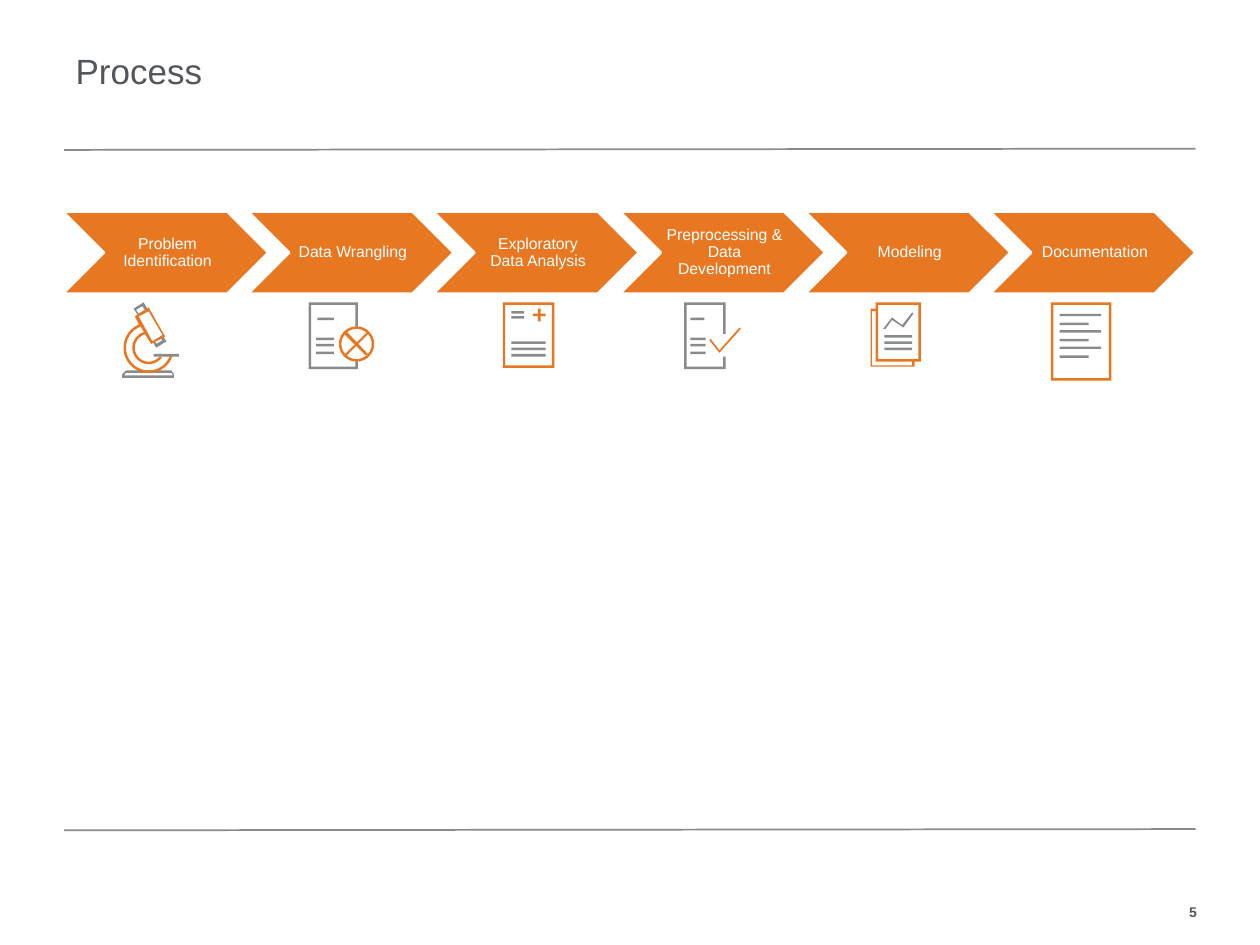
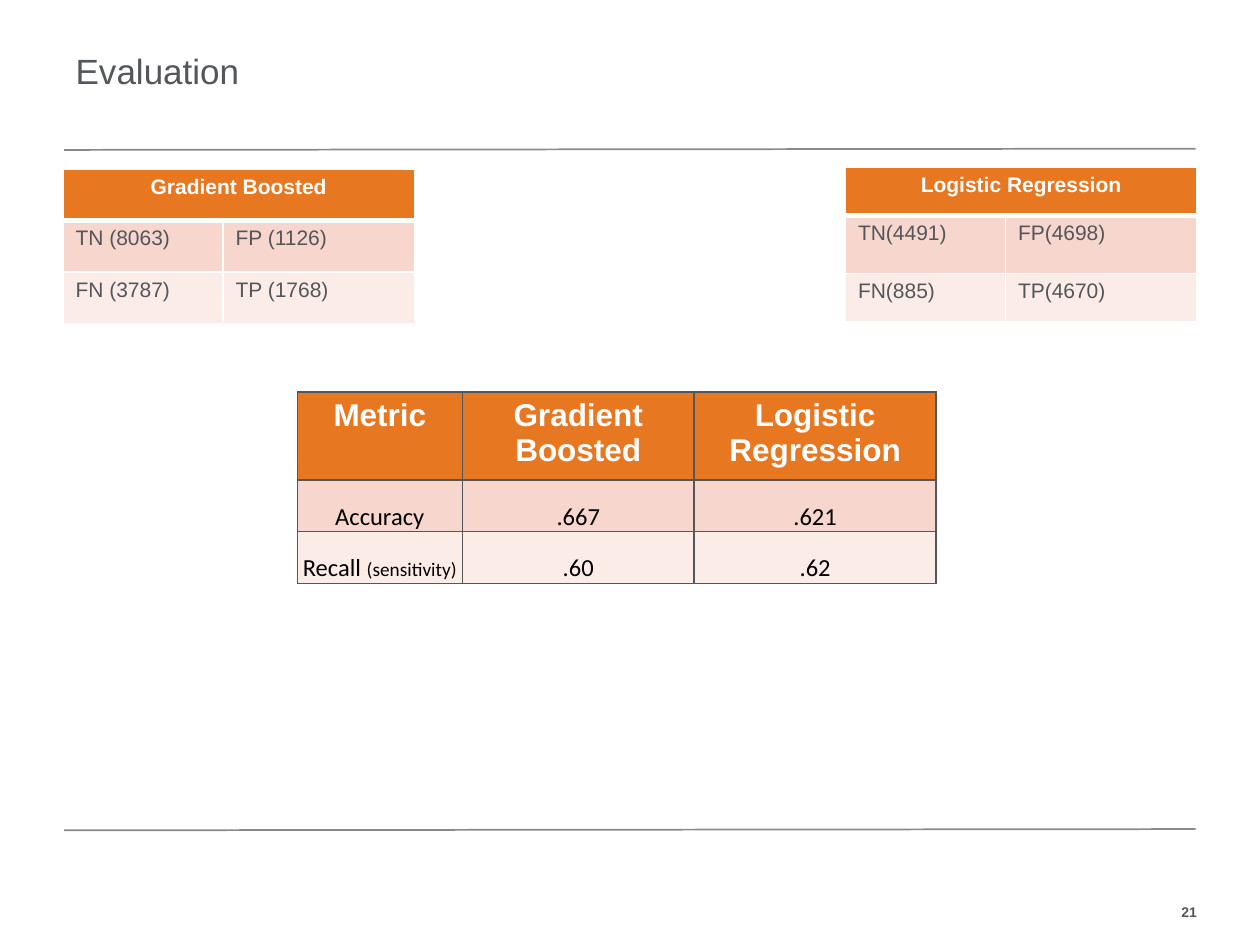
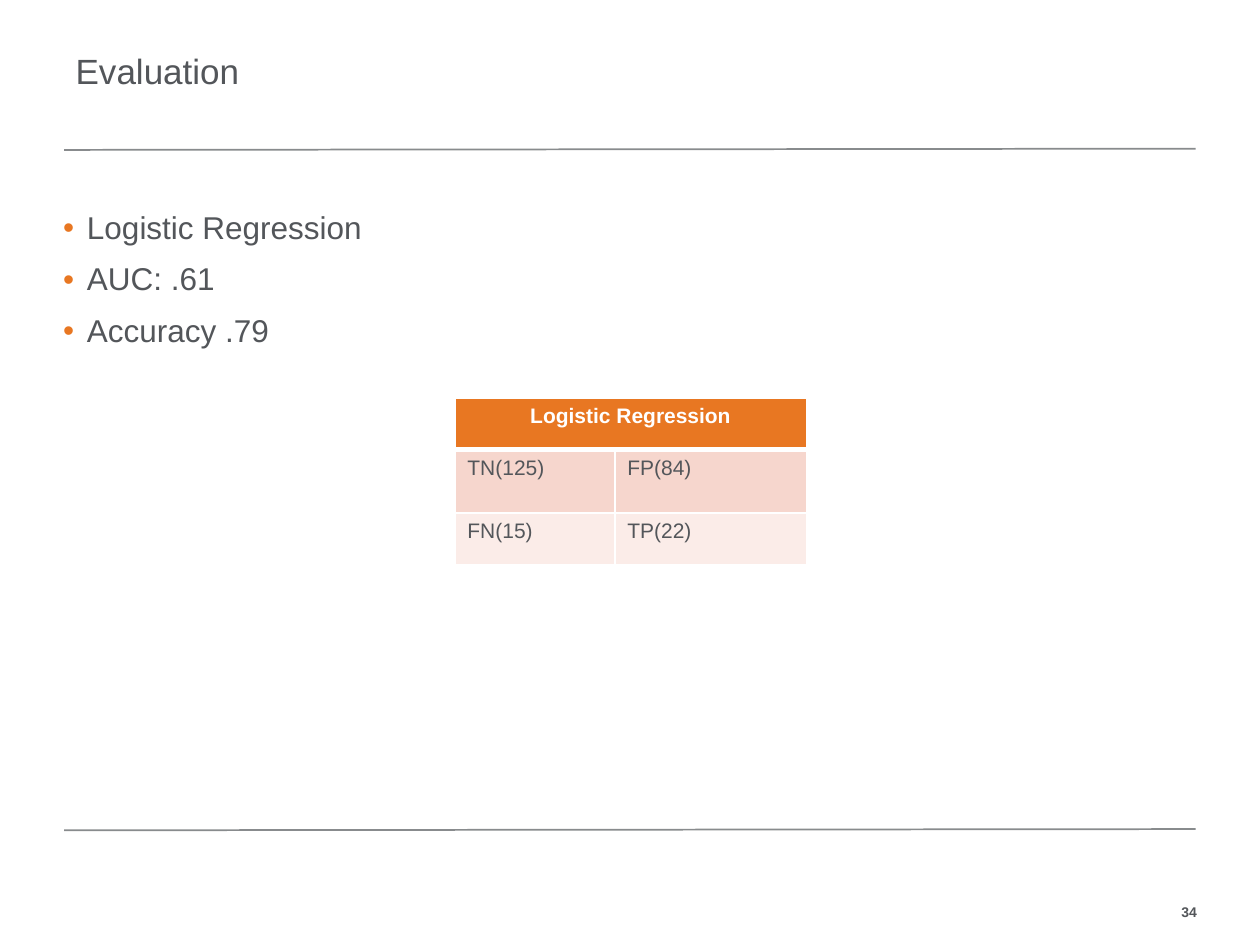
from dataclasses import dataclass
from math import cos, radians, sin
from typing import Any

from lxml import etree
from pptx import Presentation
from pptx.dml.color import RGBColor
from pptx.enum.shapes import MSO_CONNECTOR, MSO_SHAPE
from pptx.enum.text import MSO_ANCHOR, MSO_AUTO_SIZE, PP_ALIGN
from pptx.oxml.ns import qn
from pptx.util import Emu, Pt

EMU_PER_PX = 9144  # 100 px to the inch

ORANGE = RGBColor(0xE8, 0x77, 0x22)
GRAY = RGBColor(0x88, 0x8B, 0x8D)
TEXT = RGBColor(0x53, 0x56, 0x5A)
PINK = RGBColor(0xF6, 0xD6, 0xCD)
PALE_PINK = RGBColor(0xFB, 0xEC, 0xE8)
WHITE = RGBColor(0xFF, 0xFF, 0xFF)
BLACK = RGBColor(0x00, 0x00, 0x00)

CHEVRON, RECTANGLE = MSO_SHAPE.CHEVRON, MSO_SHAPE.RECTANGLE
STRAIGHT = MSO_CONNECTOR.STRAIGHT
LEFT, CENTER, RIGHT = PP_ALIGN.LEFT, PP_ALIGN.CENTER, PP_ALIGN.RIGHT
TOP, MIDDLE, BOTTOM = MSO_ANCHOR.TOP, MSO_ANCHOR.MIDDLE, MSO_ANCHOR.BOTTOM
FIXED_SIZE = MSO_AUTO_SIZE.NONE
TITLE_ONLY, TITLE_AND_CONTENT = 5, 1

Contour = list[tuple[float, float]]


def px(value: float) -> Emu:
    return Emu(round(value * EMU_PER_PX))


# Formats
def margins(left: int, top: int, right: int, bottom: int) -> dict[str, Emu]:
    return {"margin_left": px(left), "margin_top": px(top),
            "margin_right": px(right), "margin_bottom": px(bottom)}


NO_MARGINS = margins(0, 0, 0, 0)
TITLE_FONT = {"name": "Arial", "size": Pt(20), "bold": False}
BODY_FONT = {"name": "Arial", "size": Pt(18), "bold": False}
NUMBER_FONT = {"name": "Arial", "size": Pt(8), "bold": True}
STEP_FONT = {"name": "Arial", "size": Pt(9), "bold": False}
COUNT_FONT = {"name": "Arial", "size": Pt(12), "bold": False}
COUNT_HEADER_FONT = COUNT_FONT | {"bold": True}
METRIC_HEADER_FONT = {"name": "Arial", "size": Pt(18), "bold": True}
METRIC_FONT = {"name": "Calibri", "size": Pt(14), "bold": False}
NOTE_FONT = METRIC_FONT | {"size": Pt(11)}

TITLE_FRAME = {"vertical_anchor": BOTTOM, "auto_size": FIXED_SIZE, "word_wrap": True}
BODY_FRAME = {"vertical_anchor": TOP, "auto_size": FIXED_SIZE} | NO_MARGINS
NUMBER_FRAME = {"vertical_anchor": MIDDLE, "word_wrap": False} | NO_MARGINS
STEP_FRAME = {"vertical_anchor": MIDDLE, "word_wrap": True} | margins(4, 1, 1, 1)

TITLE_PARAGRAPH = {"alignment": LEFT, "line_spacing": 0.9}
BODY_PARAGRAPH = {"line_spacing": 0.95, "space_before": Pt(6), "space_after": Pt(3)}
STEP_PARAGRAPH = {"alignment": CENTER, "line_spacing": 0.9}


def apply(target: Any, values: dict[str, Any]) -> None:
    for name, value in values.items():
        setattr(target, name, value)


def write(paragraph: Any, text: str, font: dict[str, Any], color: RGBColor) -> None:
    run = paragraph.add_run()
    run.text = text
    apply(run.font, font)
    run.font.color.rgb = color


def place(shape: Any, left: int, top: int, width: int, height: int) -> None:
    apply(shape, {"left": px(left), "top": px(top), "width": px(width), "height": px(height)})


def paint(shape: Any, color: RGBColor) -> None:
    shape.shadow.inherit = False
    shape.fill.solid()
    shape.fill.fore_color.rgb = color
    shape.line.fill.background()


# Shared slide frame
def add_rule(slide: Any, top: int) -> None:
    line = slide.shapes.add_connector(STRAIGHT, px(51), px(top + 1), px(949), px(top))
    line.line.color.rgb = GRAY
    line.line.width = Pt(1)
    etree.SubElement(line._element.spPr, qn("a:effectLst"))


def add_slide(presentation: Any, layout: int, title: str, number: int) -> Any:
    slide = presentation.slides.add_slide(presentation.slide_layouts[layout])
    number_box = slide.shapes.add_textbox(px(900), px(712), px(50), px(23))
    apply(number_box.text_frame, NUMBER_FRAME)
    paragraph = number_box.text_frame.paragraphs[0]
    paragraph.alignment = RIGHT
    write(paragraph, str(number), NUMBER_FONT, TEXT)
    for top in (658, 118):
        add_rule(slide, top)

    heading = slide.shapes.title
    place(heading, 50, 30, 900, 48)
    apply(heading.text_frame, TITLE_FRAME)
    paragraph = heading.text_frame.paragraphs[0]
    apply(paragraph, TITLE_PARAGRAPH)
    write(paragraph, title, TITLE_FONT, TEXT)
    return slide


def add_bullets(slide: Any, lines: list[str]) -> None:
    body = slide.placeholders[1]
    place(body, 50, 167, 900, 113)
    frame = body.text_frame
    apply(frame, BODY_FRAME)
    for index, line in enumerate(lines):
        paragraph = frame.add_paragraph() if index else frame.paragraphs[0]
        apply(paragraph, BODY_PARAGRAPH)
        properties = paragraph._p.get_or_add_pPr()
        properties.set("marL", str(px(19)))
        properties.set("indent", str(px(-19)))
        bullet_color = etree.SubElement(properties, qn("a:buClr"))
        etree.SubElement(bullet_color, qn("a:srgbClr"), val=str(ORANGE))
        etree.SubElement(properties, qn("a:buChar"), char="•")
        write(paragraph, line, BODY_FONT, TEXT)


# Icon outlines; nested contours cut holes
def box(left: int, top: int, right: int, bottom: int) -> Contour:
    return [(left, top), (right, top), (right, bottom), (left, bottom)]


def ring(left: int, top: int, right: int, bottom: int) -> list[Contour]:
    return [box(left, top, right, bottom), box(left + 2, top + 2, right - 2, bottom - 2)]


def open_page(left: int, right: int, gap_top: int, gap_bottom: int) -> Contour:
    return [(right, 293), (left, 293), (left, 240), (right, 240), (right, gap_top),
            (right - 2, gap_top), (right - 2, 242), (left + 2, 242), (left + 2, 291),
            (right - 2, 291), (right - 2, gap_bottom), (right, gap_bottom)]


def arc(x: int, y: int, radius: int, start: int, end: int) -> Contour:
    steps = 36
    angles = [radians(start + (end - start) * step / steps) for step in range(steps + 1)]
    return [(x + radius * cos(angle), y + radius * sin(angle)) for angle in angles]


@dataclass
class Outline:
    color: RGBColor
    contours: list[Contour]


@dataclass
class Bar:
    left: int
    top: int
    width: int


@dataclass
class Step:
    label: str
    outlines: list[Outline]
    bars: list[Bar]


MICROSCOPE = [
    Outline(GRAY, [
        [(138, 300), (97, 300), (97, 297), (100, 294), (136, 294), (138, 297)],
        [(99, 298), (137, 298), (137, 297), (136, 296), (100, 296), (99, 297)],
        [(124, 276), (121, 271), (129, 266), (132, 271)],
        [(123, 271), (124, 273), (129, 270), (128, 269)],
        [(110, 251), (106, 245), (114, 240), (118, 247)],
        [(108, 246), (110, 249), (115, 246), (113, 243)],
        box(122, 281, 142, 283),
    ]),
    Outline(ORANGE, [
        arc(118, 276, 11, 41, 255)
        + [(120, 273), (131, 267), (118, 244), (107, 251), (110, 257)]
        + arc(118, 276, 20, 247, 20),
        [(110, 251), (118, 247), (129, 266), (121, 271)],
        arc(118, 276, 18, 22, 249) + [(114, 263)] + arc(118, 276, 13, 253, 33),
    ]),
]
CROSSED_PAGE = [
    Outline(GRAY, [open_page(245, 284, 260, 285)]),
    Outline(ORANGE, [arc(283, 273, 14, 0, 360), arc(283, 273, 12, 139, 311),
                     arc(283, 273, 12, -41, 131)]),
    Outline(ORANGE, [[(290, 282), (273, 265), (275, 263), (292, 281)]]),
]
PLUS_PAGE = [
    Outline(GRAY, [box(406, top, 433, top + 2) for top in (271, 276, 281)]
            + [box(406, top, 416, top + 2) for top in (247, 251)]),
    Outline(ORANGE, ring(399, 240, 440, 292) + [
        [(433, 249), (429, 249), (429, 245), (427, 245), (427, 249), (423, 249),
         (423, 251), (427, 251), (427, 255), (429, 255), (429, 251), (433, 251)]]),
]
CHECKED_PAGE = [
    Outline(GRAY, [open_page(543, 576, 265, 283)]),
    Outline(ORANGE, [[(571, 280), (563, 270), (564, 269), (571, 278), (587, 260), (588, 261)]]),
]
CHART_PAGES = [
    Outline(ORANGE, ring(695, 240, 731, 287) + [
        [(695, 245), (691, 245), (691, 291), (726, 291), (726, 287), (724, 287),
         (724, 290), (692, 290), (692, 247), (695, 247)]]),
    Outline(GRAY, [box(702, top, 724, top + 2) for top in (266, 271, 276)] + [
        [(724, 248), (716, 258), (708, 252), (701, 261), (703, 261), (708, 254),
         (717, 260), (725, 249)]]),
]
TEXT_PAGE = [Outline(ORANGE, ring(834, 240, 882, 302))]

STEPS = [
    Step("Problem Identification", MICROSCOPE, []),
    Step("Data Wrangling", CROSSED_PAGE,
         [Bar(252, 252, 13)] + [Bar(251, top, 14) for top in (268, 273, 279)]),
    Step("Exploratory Data Analysis", PLUS_PAGE, []),
    Step("Preprocessing & Data Development", CHECKED_PAGE,
         [Bar(548, 252, 11)] + [Bar(548, top, 12) for top in (268, 273, 279)]),
    Step("Modeling", CHART_PAGES, []),
    Step("Documentation", TEXT_PAGE,
         [Bar(841, 249 + round(6.6 * row), 23 if row % 2 else 33) for row in range(6)]),
]


def add_outline(shapes: Any, outline: Outline) -> None:
    first, *others = [[(px(x), px(y)) for x, y in contour] for contour in outline.contours]
    builder = shapes.build_freeform(*first[0], scale=1.0)
    builder.add_line_segments(first[1:], close=True)
    for contour in others:
        builder.move_to(*contour[0])
        builder.add_line_segments(contour[1:], close=True)
    paint(builder.convert_to_shape(), outline.color)


def add_step(slide: Any, step: Step, left: int) -> None:
    chevron = slide.shapes.add_shape(CHEVRON, px(left), px(168), px(163), px(65))
    paint(chevron, ORANGE)
    chevron.line.color.rgb = WHITE
    chevron.line.width = Pt(1.5)
    apply(chevron.text_frame, STEP_FRAME)
    paragraph = chevron.text_frame.paragraphs[0]
    apply(paragraph, STEP_PARAGRAPH)
    write(paragraph, step.label, STEP_FONT, WHITE)

    icon = slide.shapes.add_group_shape()
    for outline in step.outlines:
        add_outline(icon.shapes, outline)
    for bar in step.bars:
        paint(icon.shapes.add_shape(RECTANGLE, px(bar.left), px(bar.top), px(bar.width), px(2)),
              GRAY)


# Tables
def set_borders(cell: Any, color: RGBColor, widths: dict[str, int]) -> None:
    properties = cell._tc.get_or_add_tcPr()
    for side in ("L", "R", "T", "B"):
        line = etree.SubElement(properties, qn(f"a:ln{side}"), w=str(Pt(widths.get(side, 1))))
        fill = etree.SubElement(line, qn("a:solidFill"))
        etree.SubElement(fill, qn("a:srgbClr"), val=str(color))


def add_grid(slide: Any, left: int, top: int, columns: list[int], rows: list[int],
             border: RGBColor, header_rule: int) -> Any:
    frame = slide.shapes.add_table(len(rows), len(columns), px(left), px(top),
                                   px(sum(columns)), px(sum(rows)))
    table = frame.table
    apply(table, {"first_row": False, "horz_banding": False})
    for column, width in zip(table.columns, columns):
        column.width = px(width)
    header_sides = [{"B": header_rule}, {"T": header_rule}, {}]
    for row, height, fill, sides in zip(table.rows, rows, (ORANGE, PINK, PALE_PINK), header_sides):
        row.height = px(height)
        for cell in row.cells:
            set_borders(cell, border, sides)
            cell.fill.solid()
            cell.fill.fore_color.rgb = fill
    return table


@dataclass
class ConfusionMatrix:
    model: str
    left: int
    top: int
    rows: list[int]
    counts: list[list[str]]


def add_confusion_matrix(slide: Any, matrix: ConfusionMatrix) -> None:
    table = add_grid(slide, matrix.left, matrix.top, [127, 152], matrix.rows, WHITE, 3)
    header = table.cell(0, 0)
    header.merge(table.cell(0, 1))
    paragraph = header.text_frame.paragraphs[0]
    paragraph.alignment = CENTER
    write(paragraph, matrix.model, COUNT_HEADER_FONT, WHITE)
    for row, counts in enumerate(matrix.counts, start=1):
        for column, count in enumerate(counts):
            write(table.cell(row, column).text_frame.paragraphs[0], count, COUNT_FONT, TEXT)


METRICS = [
    ["Metric", "Gradient Boosted", "Logistic Regression"],
    ["Accuracy", ".667", ".621"],
    ["Recall ", ".60", ".62"],
]


def add_metrics(slide: Any) -> None:
    table = add_grid(slide, 236, 311, [131, 184, 192], [66, 41, 41], TEXT, 1)
    for row, texts in enumerate(METRICS):
        for column, text in enumerate(texts):
            cell = table.cell(row, column)
            paragraph = cell.text_frame.paragraphs[0]
            paragraph.alignment = CENTER
            if row:
                apply(cell, {"vertical_anchor": BOTTOM} | NO_MARGINS)
                write(paragraph, text, METRIC_FONT, BLACK)
            else:
                write(paragraph, text, METRIC_HEADER_FONT, WHITE)
    write(table.cell(2, 0).text_frame.paragraphs[0], "(sensitivity)", NOTE_FONT, BLACK)


MODEL_COMPARISON = [
    ConfusionMatrix("Gradient Boosted", 50, 134, [41, 41, 41],
                    [["TN (8063)", "FP (1126)"], ["FN (3787)", "TP (1768)"]]),
    ConfusionMatrix("Logistic Regression", 671, 133, [38, 46, 38],
                    [["TN(4491)", "FP(4698)"], ["FN(885)", "TP(4670)"]]),
]
FINAL_MODEL = ConfusionMatrix("Logistic Regression", 361, 316, [41, 50, 41],
                              [["TN(125)", "FP(84)"], ["FN(15)", "TP(22)"]])


def main() -> None:
    presentation = Presentation()
    apply(presentation, {"slide_width": px(1000), "slide_height": px(750)})

    # Process steps
    slide = add_slide(presentation, TITLE_ONLY, "Process", 5)
    for index, step in enumerate(STEPS):
        add_step(slide, step, 50 + round(147.2 * index))

    # Comparison of two models
    slide = add_slide(presentation, TITLE_ONLY, "Evaluation", 21)
    add_metrics(slide)
    for matrix in MODEL_COMPARISON:
        add_confusion_matrix(slide, matrix)

    # Final model
    slide = add_slide(presentation, TITLE_AND_CONTENT, "Evaluation", 34)
    add_bullets(slide, ["Logistic Regression", "AUC: .61", "Accuracy .79"])
    add_confusion_matrix(slide, FINAL_MODEL)

    presentation.save("out.pptx")


if __name__ == "__main__":
    main()
